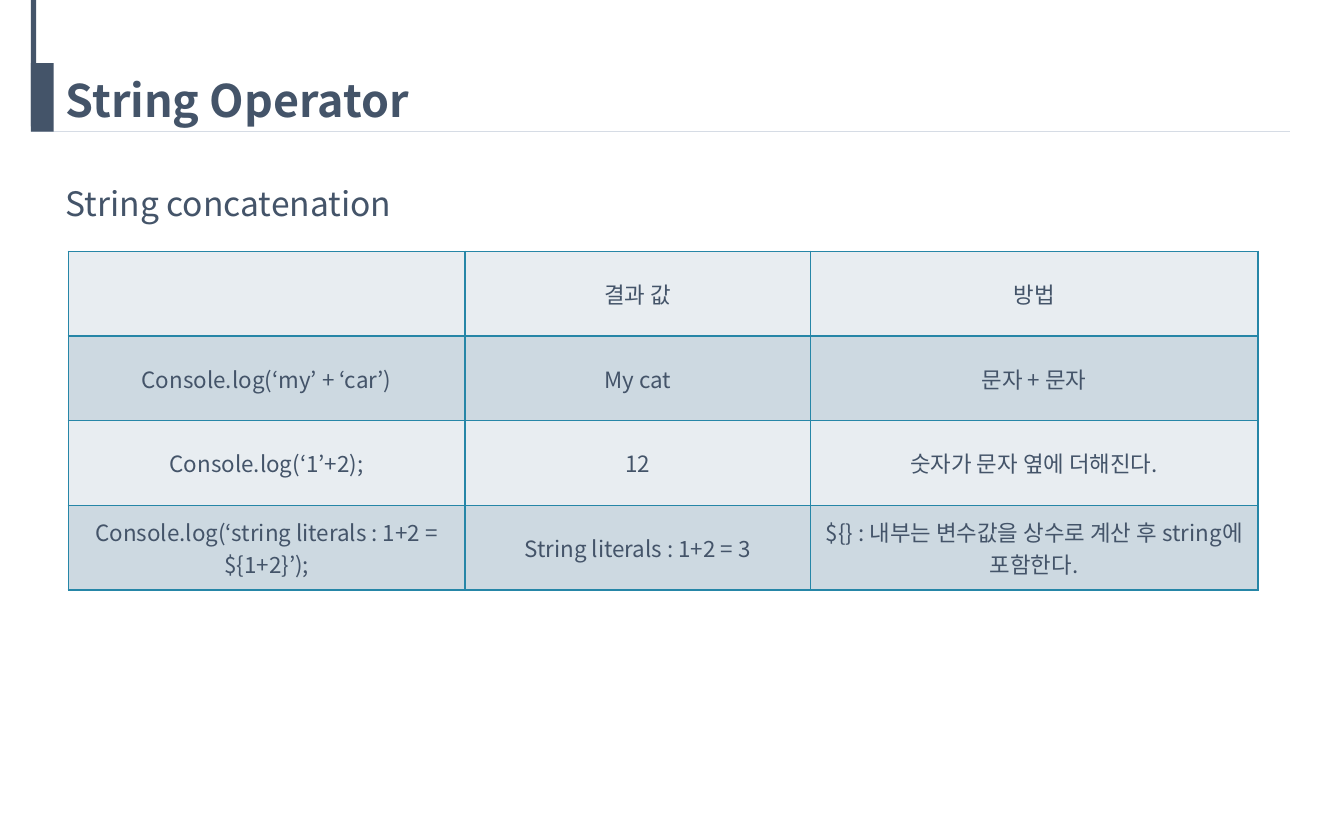
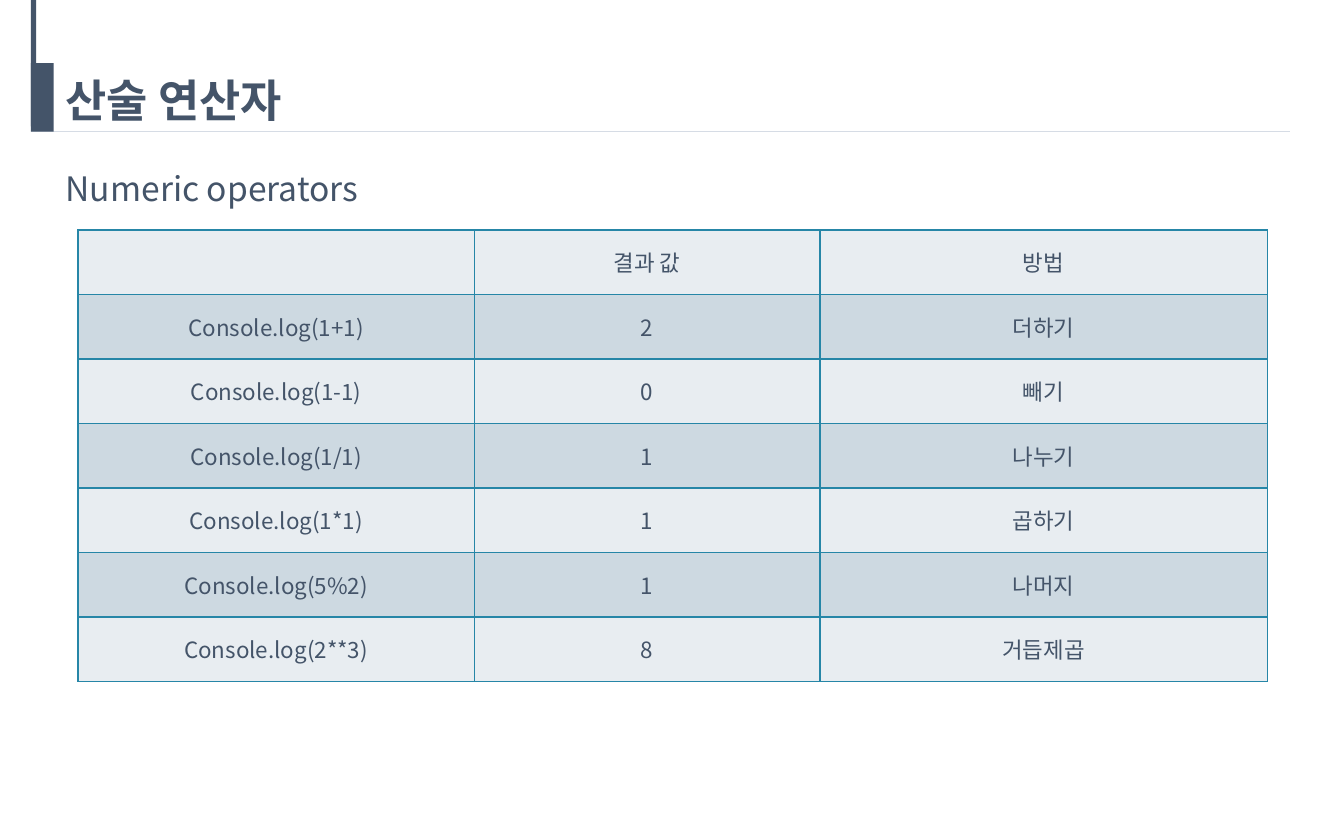
from dataclasses import dataclass

from lxml import etree
from pptx import Presentation
from pptx import util as u
from pptx.dml.color import RGBColor
from pptx.enum import shapes, text
from pptx.oxml import ns


@dataclass(frozen=True)
class Theme:
    font: str = "Noto Sans CJK KR"
    ink: str = "445469"
    rule: str = "D6DCE5"
    border: str = "2686A7"
    row_fills: tuple = ("E8EDF1", "CDD9E1")
    title_size: int = 24
    subtitle_size: int = 18
    cell_size: int = 12
    rule_width: float = 0.5
    border_width: float = 1


THEME = Theme()
HEADER = ("", "결과 값", "방법")
COLUMN_WIDTHS = (2.95, 2.57, 3.33)
TEXT_LEFT, TEXT_WIDTH = 0.39, 9.22
ACCENT_BARS = ((0.23, 0, 0.04, 0.94), (0.23, 0.47, 0.17, 0.51))

SLIDES = [
    {
        "title": "String Operator",
        "subtitle": "String concatenation",
        "subtitle_top": 1.16,
        "table_at": (0.51, 1.87),
        "row_height": 0.63,
        "rows": [
            ("Console.log(‘my’ + ‘car’)", "My cat", "문자 + 문자"),
            ("Console.log(‘1’+2);", "12", "숫자가 문자 옆에 더해진다."),
            (
                "Console.log(‘string literals : 1+2 = ${1+2}’);",
                "String literals : 1+2 = 3",
                "${} : 내부는 변수값을 상수로 계산 후 string에 포함한다.",
            ),
        ],
    },
    {
        "title": "산술 연산자",
        "subtitle": "Numeric operators",
        "subtitle_top": 1.05,
        "table_at": (0.58, 1.71),
        "row_height": 0.48,
        "rows": [
            ("Console.log(1+1)", "2", "더하기"),
            ("Console.log(1-1)", "0", "빼기"),
            ("Console.log(1/1)", "1", "나누기"),
            ("Console.log(1*1)", "1", "곱하기"),
            ("Console.log(5%2)", "1", "나머지"),
            ("Console.log(2**3)", "8", "거듭제곱"),
        ],
    },
]


def rgb(color):
    return RGBColor.from_string(color)


def write(frame, words, size, bold=False, align=text.PP_ALIGN.LEFT, spacing=1.0):
    frame.word_wrap = True
    paragraph = frame.paragraphs[0]
    paragraph.alignment = align
    paragraph.line_spacing = spacing
    run = paragraph.add_run()
    run.text = words
    run.font.name = THEME.font
    run.font.size = u.Pt(size)
    run.font.bold = bold
    run.font.color.rgb = rgb(THEME.ink)
    east_asian = etree.SubElement(run.font._element, ns.qn("a:ea"))
    east_asian.set("typeface", THEME.font)


def add_text(slide, words, top, height, anchor=text.MSO_ANCHOR.TOP, **style):
    box = slide.shapes.add_textbox(*map(u.Inches, (TEXT_LEFT, top, TEXT_WIDTH, height)))
    box.text_frame.vertical_anchor = anchor
    write(box.text_frame, words, **style)


def add_frame(slide, title):
    line = slide.shapes.add_connector(
        shapes.MSO_CONNECTOR.STRAIGHT, *map(u.Inches, (0.23, 0.98, 9.6, 0.98))
    )
    line.line.color.rgb = rgb(THEME.rule)
    line.line.width = u.Pt(THEME.rule_width)
    etree.SubElement(line._element.spPr, ns.qn("a:effectLst"))
    for bounds in ACCENT_BARS:
        bar = slide.shapes.add_shape(shapes.MSO_SHAPE.RECTANGLE, *map(u.Inches, bounds))
        bar.shadow.inherit = False
        bar.fill.solid()
        bar.fill.fore_color.rgb = rgb(THEME.ink)
        bar.line.fill.background()
    add_text(slide, title, 0.37, 0.79, anchor=text.MSO_ANCHOR.MIDDLE,
             size=THEME.title_size, bold=True, spacing=0.9)


def add_borders(cell):
    properties = cell._tc.get_or_add_tcPr()
    for side in ("lnL", "lnR", "lnT", "lnB"):
        edge = etree.SubElement(properties, ns.qn(f"a:{side}"), w=str(u.Pt(THEME.border_width)))
        fill = etree.SubElement(edge, ns.qn("a:solidFill"))
        etree.SubElement(fill, ns.qn("a:srgbClr"), val=THEME.border)


def add_operator_table(slide, rows, position, row_height):
    bounds = (*position, sum(COLUMN_WIDTHS), row_height * len(rows))
    table = slide.shapes.add_table(
        len(rows), len(COLUMN_WIDTHS), *map(u.Inches, bounds)
    ).table
    for column, width in zip(table.columns, COLUMN_WIDTHS):
        column.width = u.Inches(width)
    for row_index, row in enumerate(rows):
        table.rows[row_index].height = u.Inches(row_height)
        for column_index, words in enumerate(row):
            cell = table.cell(row_index, column_index)
            add_borders(cell)
            cell.fill.solid()
            cell.fill.fore_color.rgb = rgb(THEME.row_fills[row_index % 2])
            cell.vertical_anchor = text.MSO_ANCHOR.MIDDLE
            if words:
                write(cell.text_frame, words, THEME.cell_size, align=text.PP_ALIGN.CENTER)


def main():
    presentation = Presentation()
    presentation.slide_width = u.Inches(10)
    presentation.slide_height = u.Inches(6.25)
    for content in SLIDES:
        slide = presentation.slides.add_slide(presentation.slide_layouts[6])
        add_frame(slide, content["title"])
        add_operator_table(slide, [HEADER, *content["rows"]],
                           content["table_at"], content["row_height"])
        add_text(slide, content["subtitle"], content["subtitle_top"], 0.5,
                 size=THEME.subtitle_size, spacing=1.5)
    presentation.save("out.pptx")


if __name__ == "__main__":
    main()
